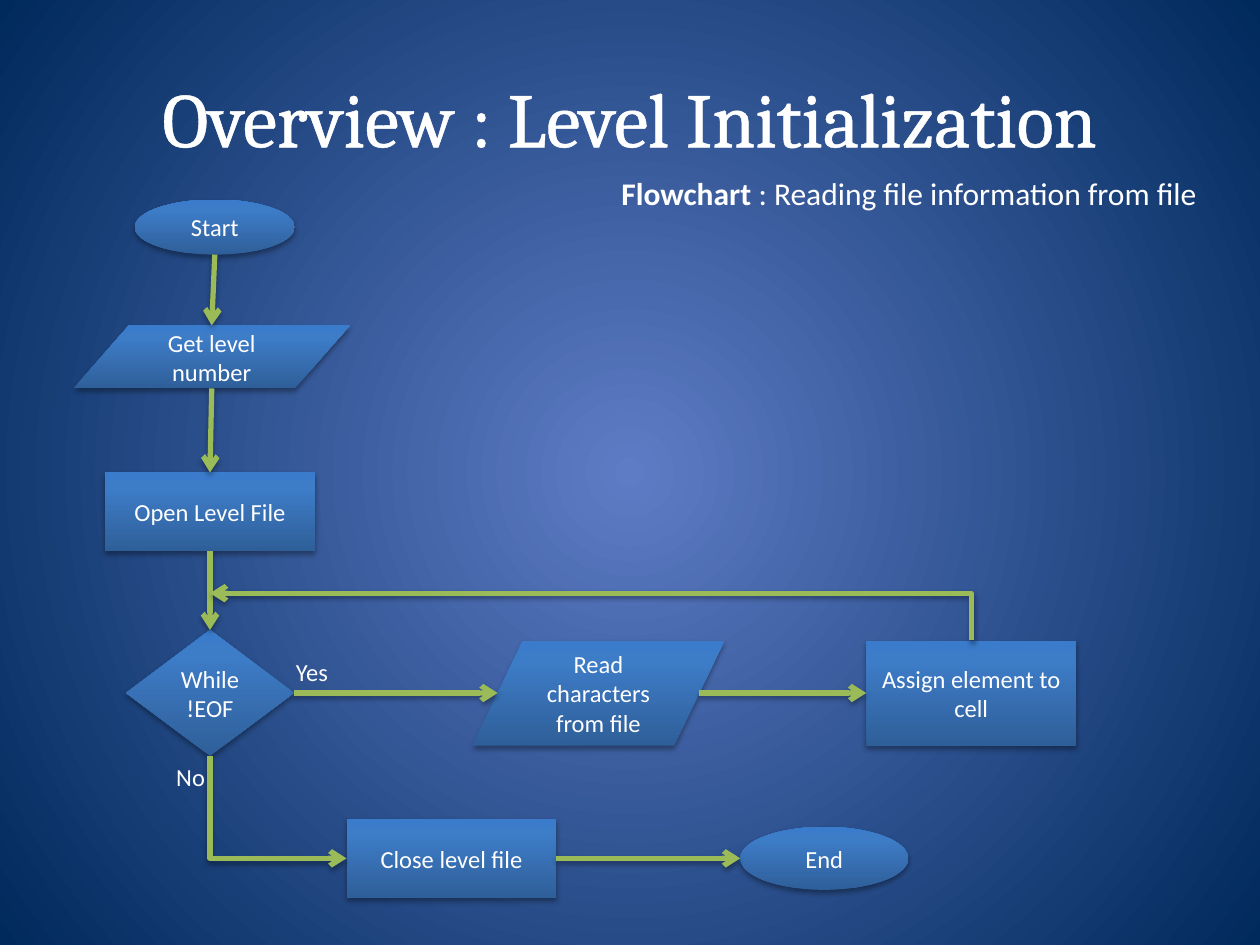
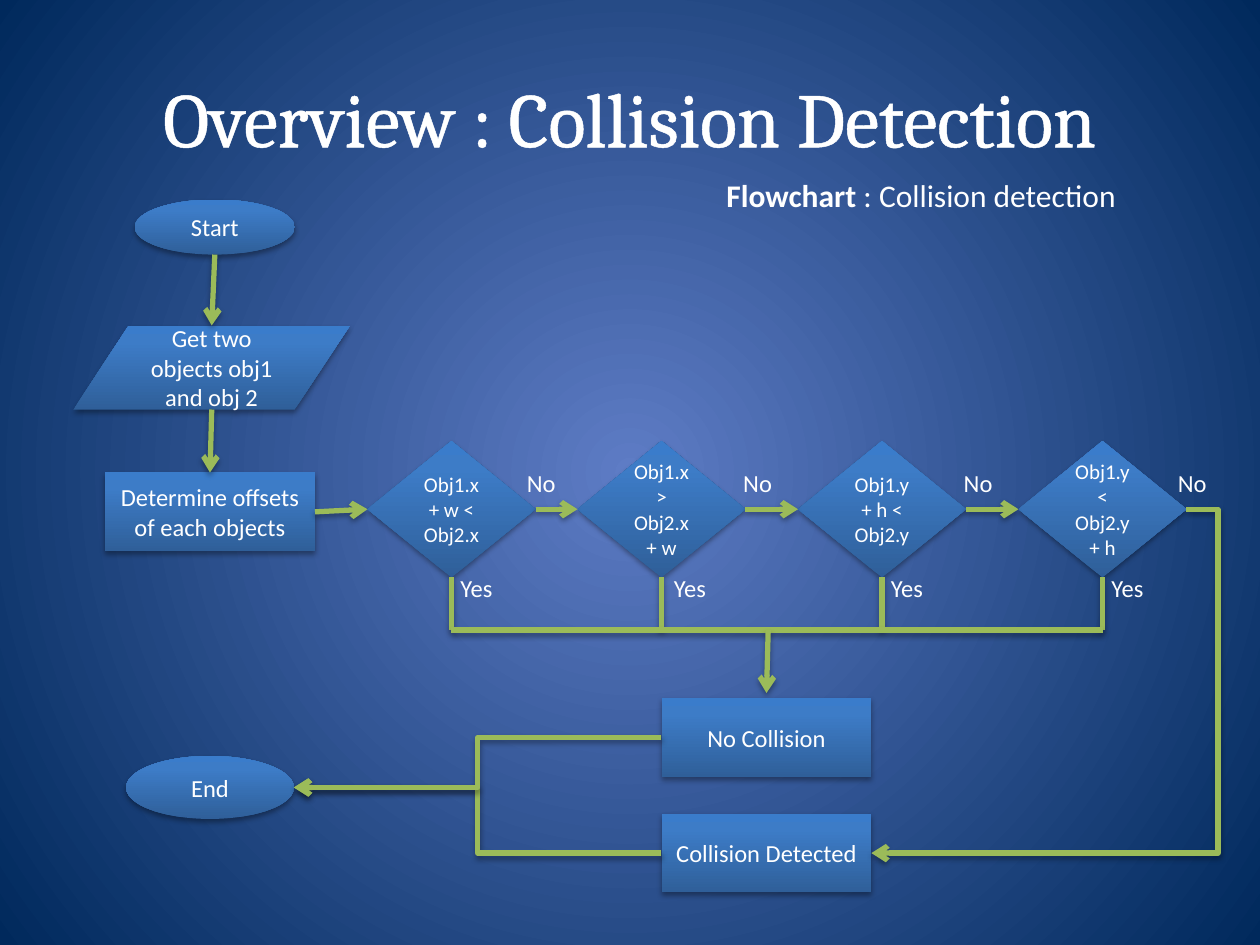
"""Build two flowchart slides: level initialization and collision detection."""
from dataclasses import dataclass

from lxml.etree import SubElement
from pptx import Presentation
from pptx.dml.color import RGBColor
from pptx.enum.shapes import MSO_CONNECTOR as Link, MSO_SHAPE as Shape
from pptx.enum.text import MSO_ANCHOR as Anchor, MSO_AUTO_SIZE as AutoSize, PP_ALIGN as Align
from pptx.oxml import parse_xml
from pptx.oxml.ns import nsdecls, qn
from pptx.util import Pt

WHITE = RGBColor(0xFF, 0xFF, 0xFF)
BLACK = RGBColor(0x00, 0x00, 0x00)
LINE_GREEN = RGBColor(0x9B, 0xBB, 0x59)
GLOW_BLUE = RGBColor(0x5E, 0x7C, 0xC5)
EDGE_BLUE = RGBColor(0x00, 0x29, 0x5C)
NODE_DARK = RGBColor(0x2F, 0x5F, 0x99)
NODE_MID = RGBColor(0x3D, 0x7C, 0xC7)
NODE_LIGHT = RGBColor(0x3A, 0x7C, 0xCB)

NODE_STOPS = ((0, NODE_DARK), (80, NODE_MID), (100, NODE_LIGHT))
NODE_SHADE = '<a:lin ang="16200000" scaled="0"/>'
PAGE_STOPS = ((0, GLOW_BLUE), (100, EDGE_BLUE))
PAGE_SHADE = ('<a:path path="circle">'
              '<a:fillToRect l="50000" t="50000" r="50000" b="50000"/></a:path>')

HEADING_FONT, BODY_FONT = "Cambria", "Calibri"
NORTH, SOUTH, WEST, EAST = (0.5, 0), (0.5, 1), (0, 0.5), (1, 0.5)
DATA_WEST, DATA_EAST = (0.1, 0.5), (0.9, 0.5)
OVAL, DATA = Shape.FLOWCHART_CONNECTOR, Shape.FLOWCHART_DATA
PROCESS, DECISION = Shape.FLOWCHART_PROCESS, Shape.FLOWCHART_DECISION


@dataclass
class Box:
    """A rectangle in points."""
    left: float
    top: float
    width: float
    height: float

    def at(self, across, down):
        """Return the point at the given fractions of the box."""
        return self.left + across * self.width, self.top + down * self.height

    def inner(self, left, top, width, height):
        """Return a box placed relative to this one."""
        return Box(self.left + left, self.top + top, width, height)

    def lengths(self):
        """Return left, top, width and height as lengths."""
        return [Pt(v) for v in (self.left, self.top, self.width, self.height)]


def paint_gradient(fill, element, stops, shade):
    """Give a fill the listed colour stops and shading."""
    fill.gradient()
    plain = element.find(".//" + qn("a:gradFill"))
    marks = "".join(f'<a:gs pos="{spot * 1000}"><a:srgbClr val="{colour}"/></a:gs>'
                    for spot, colour in stops)
    plain.getparent().replace(plain, parse_xml(
        f'<a:gradFill {nsdecls("a")} rotWithShape="1"><a:gsLst>{marks}</a:gsLst>{shade}</a:gradFill>'))


def add_shadow(effects):
    """Put the soft drop shadow into an effect list."""
    effects.append(parse_xml(
        f'<a:outerShdw {nsdecls("a")} blurRad="{Pt(3.1)}" dist="{Pt(1.8)}" dir="5400000" '
        f'rotWithShape="0"><a:srgbClr val="{BLACK}"><a:alpha val="35000"/></a:srgbClr></a:outerShdw>'))


def add_span(para, text, size, font=BODY_FONT, bold=False):
    """Add one white run to a paragraph."""
    span = para.add_run()
    span.text = text
    span.font.name, span.font.size, span.font.bold = font, Pt(size), bold
    span.font.color.rgb = WHITE


def add_text_box(page, box):
    """Add a wrapping text box."""
    holder = page.shapes.add_textbox(*box.lengths())
    holder.text_frame.word_wrap = True
    return holder


def add_title(page, box, text):
    """Add the centred, outlined title."""
    holder = add_text_box(page, box)
    holder.text_frame.vertical_anchor = Anchor.MIDDLE
    para = holder.text_frame.paragraphs[0]
    para.alignment = Align.CENTER
    add_span(para, text, 44, HEADING_FONT)
    holder.element.find(".//" + qn("a:rPr")).insert(0, parse_xml(
        f'<a:ln {nsdecls("a")} w="{Pt(1.45)}"><a:solidFill>'
        f'<a:srgbClr val="{WHITE}"/></a:solidFill></a:ln>'))


def add_label(page, box, *spans, size=14):
    """Add a growing text box made of (text, bold) spans."""
    frame = add_text_box(page, box).text_frame
    frame.auto_size = AutoSize.SHAPE_TO_FIT_TEXT
    for text, bold in spans:
        add_span(frame.paragraphs[0], text, size, bold=bold)


def add_answer(page, box, left, top, text):
    """Add a Yes or No label relative to a decision."""
    add_label(page, box.inner(left, top, 38, 24.5), (text, False))


def add_node(page, kind, box, text, size=14):
    """Draw a flowchart symbol and return its box."""
    node = page.shapes.add_shape(kind, *box.lengths())
    paint_gradient(node.fill, node.element, NODE_STOPS, NODE_SHADE)
    node.line.fill.background()
    node.shadow.inherit = False
    add_shadow(node.element.spPr.find(qn("a:effectLst")))
    frame = node.text_frame
    frame.word_wrap, frame.vertical_anchor = True, Anchor.MIDDLE
    para = frame.paragraphs[0]
    para.alignment = Align.CENTER
    add_span(para, text, size)
    return box


def add_link(page, start, end, kind=Link.STRAIGHT, arrow=True):
    """Draw a green line between two points."""
    link = page.shapes.add_connector(kind, *[Pt(v) for v in (*start, *end)])
    link.line.color.rgb, link.line.width = LINE_GREEN, Pt(3)
    props = link.element.spPr
    if arrow:
        SubElement(props.find(qn("a:ln")), qn("a:tailEnd"), type="arrow")
    add_shadow(SubElement(props, qn("a:effectLst")))
    return props


def add_elbow(page, start, end, bend):
    """Draw a line with two corners, the first at the given share of its width."""
    props = add_link(page, start, end, Link.ELBOW)
    guides = props.find(qn("a:prstGeom")).find(qn("a:avLst"))
    SubElement(guides, qn("a:gd"), name="adj1", fmla=f"val {round(bend * 100000)}")


def add_corner(page, start, end):
    """Draw a line that runs vertically, then horizontally."""
    (x1, y1), (x2, y2) = start, end
    mid_x, mid_y = (x1 + x2) / 2, (y1 + y2) / 2
    half_x, half_y = (x2 - x1) / 2, (y2 - y1) / 2
    props = add_link(page, (mid_x + half_y, mid_y - half_x),
                     (mid_x - half_y, mid_y + half_x), Link.ELBOW)
    props.find(qn("a:xfrm")).set("rot", "16200000")
    props.find(qn("a:prstGeom")).set("prst", "bentConnector2")


def add_page(deck, title, caption, caption_box):
    """Add a page with its background, title and flowchart caption."""
    page = deck.slides.add_slide(deck.slide_layouts[6])
    paint_gradient(page.background.fill, page.element, PAGE_STOPS, PAGE_SHADE)
    add_title(page, Box(36, 21.6, 648, 90), title)
    add_label(page, caption_box, ("Flowchart", True), (f" : {caption}", False), size=18)
    return page


def draw_opening(page, box, data_text, data_height, process_text):
    """Draw the start, data and process column; return the process box."""
    start = add_node(page, OVAL, box.inner(35, 0, 91.5, 31.5), "Start")
    data = add_node(page, DATA, box.inner(0, 72, box.width, data_height), data_text)
    process = add_node(page, PROCESS, box.inner(18, 156, 120, 45), process_text)
    add_link(page, start.at(*SOUTH), data.at(*NORTH))
    add_link(page, data.at(*SOUTH), process.at(*NORTH))
    return process


def draw_read_loop(page, box, entry):
    """Draw the reading loop below the entry box; return its decision box."""
    check = add_node(page, DECISION, box.inner(0, 0, 96, box.height), "While !EOF")
    read = add_node(page, DATA, box.inner(198, 6, 144, 60), "Read characters from file")
    assign = add_node(page, PROCESS, box.inner(423, 6, 120, 60), "Assign element to cell")
    add_link(page, entry.at(*SOUTH), check.at(*NORTH))
    add_link(page, check.at(*EAST), read.at(*DATA_WEST))
    add_link(page, read.at(*DATA_EAST), assign.at(*WEST))
    add_corner(page, assign.at(*NORTH), (check.at(*NORTH)[0], box.top - 21))
    add_answer(page, check, 90, 12, "Yes")
    add_answer(page, check, 21.6, 72, "No")
    return check


def draw_closing(page, box, check):
    """Draw the closing steps reached from the decision."""
    close = add_node(page, PROCESS, box.inner(0, 0, 120, box.height), "Close level file")
    end = add_node(page, OVAL, box.inner(225, 4.5, 96, 36), "End")
    add_corner(page, check.at(*SOUTH), close.at(*WEST))
    add_link(page, close.at(*EAST), end.at(*WEST))


def draw_tests(page, box, entry):
    """Draw the row of overlap tests and their shared Yes line; return the last test."""
    tests = (("Obj1.x+ w < Obj2.x", 0, 46, 84), ("Obj1.x > Obj2.x+ w", 120, 48, 87.6),
             ("Obj1.y+ h < Obj2.y", 246, 46, 87.6), ("Obj1.y < Obj2.y + h", 372, 46, 84))
    rail = box.top + 108
    drops = []
    source = entry
    for text, left, yes_left, no_left in tests:
        test = add_node(page, DECISION, box.inner(left, 0, 96, box.height), text, 12)
        add_link(page, source.at(*EAST), test.at(*WEST))
        drop = test.at(*SOUTH)
        drops.append((drop[0], rail))
        add_link(page, drop, drops[-1], arrow=False)
        add_answer(page, test, yes_left, 72, "Yes")
        add_answer(page, test, no_left, 12, "No")
        source = test
    add_link(page, drops[0], drops[-1], arrow=False)
    add_link(page, (box.left + 229, rail), (box.left + 228, rail + 36))
    return source


def draw_outcomes(page, box, last_test):
    """Draw both outcomes and their way to the end."""
    clear = add_node(page, PROCESS, box.inner(306, 0, 120, 45), "No Collision")
    hit = add_node(page, PROCESS, box.inner(306, 66, 120, 45), "Collision Detected")
    end = add_node(page, OVAL, box.inner(0, 33, 96, 36), "End")
    add_elbow(page, last_test.at(*EAST), hit.at(*EAST), -0.1)
    for outcome in (hit, clear):
        add_elbow(page, outcome.at(*WEST), end.at(*EAST), 0.5)


def build_level_page(deck):
    """Build the level initialization page."""
    page = add_page(deck, "Overview : Level Initialization",
                    "Reading file information from file", Box(348, 96, 348, 29))
    opened = draw_opening(page, Box(42, 114, 158, 201), "Get level number", 36, "Open Level File")
    check = draw_read_loop(page, Box(72, 360, 543, 72), opened)
    draw_closing(page, Box(198, 468, 321, 45), check)


def build_collision_page(deck):
    """Build the collision detection page."""
    page = add_page(deck, "Overview : Collision Detection",
                    "Collision detection", Box(408, 97, 348, 29))
    offsets = draw_opening(page, Box(42, 114, 158, 201), "Get two objects obj1 and obj 2", 48,
                           "Determine offsets of each objects")
    last_test = draw_tests(page, Box(210, 252, 468, 78), offsets)
    draw_outcomes(page, Box(72, 399, 426, 111), last_test)


def main():
    """Build and save the deck."""
    deck = Presentation()
    deck.slide_width, deck.slide_height = Pt(720), Pt(540)
    build_level_page(deck)
    build_collision_page(deck)
    deck.save("out.pptx")


if __name__ == "__main__":
    main()
